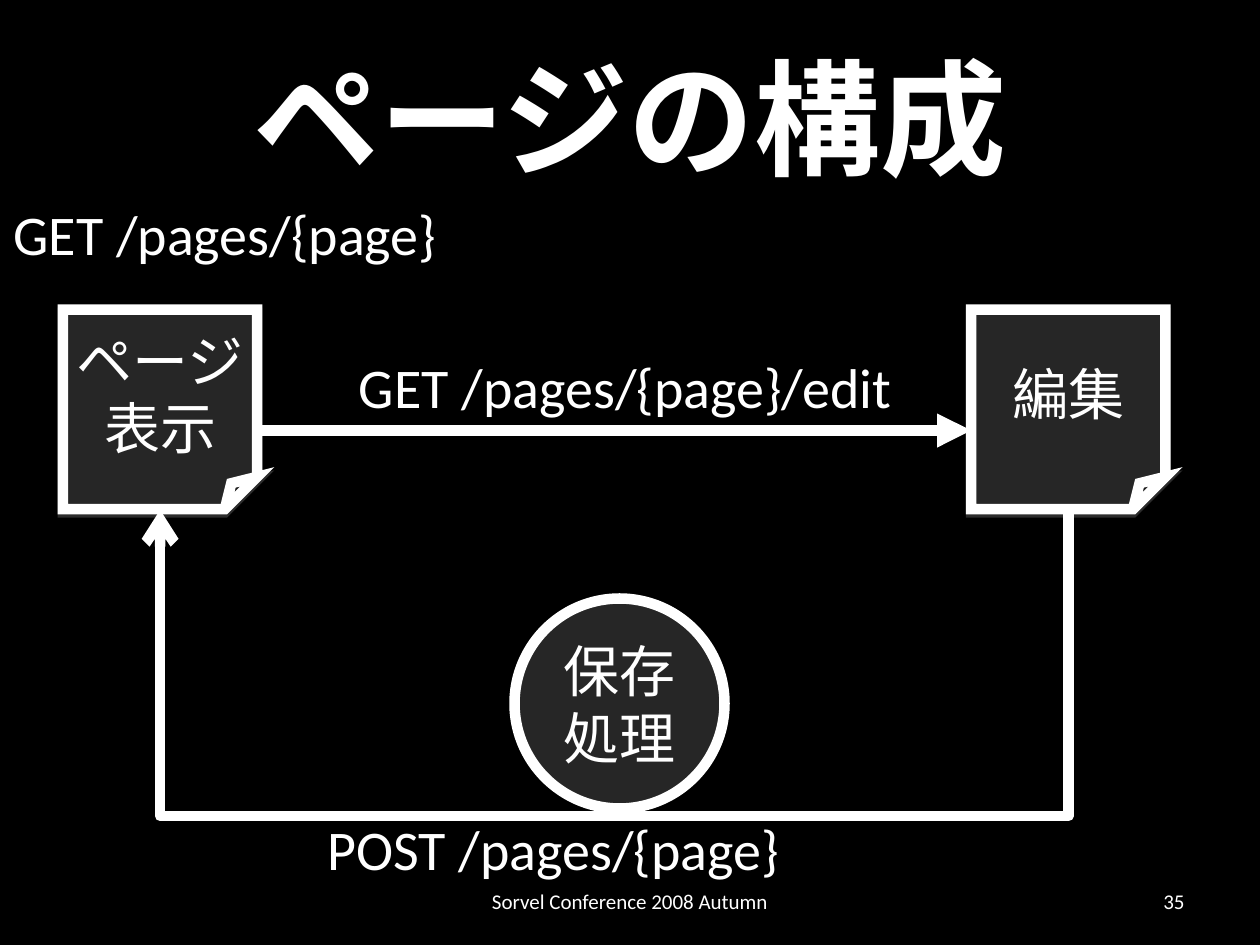
import pptx
import pptx.util
import pptx.dml.color
import pptx.enum.shapes
import pptx.enum.text
import pptx.oxml
import pptx.oxml.ns
from dataclasses import dataclass

Shape = pptx.enum.shapes.MSO_SHAPE
Connector = pptx.enum.shapes.MSO_CONNECTOR
Align = pptx.enum.text.PP_ALIGN
Anchor = pptx.enum.text.MSO_ANCHOR
qn = pptx.oxml.ns.qn

NAMESPACE = 'xmlns:a="http://schemas.openxmlformats.org/drawingml/2006/main"'
SHADOW = (f'<a:effectLst {NAMESPACE}><a:outerShdw blurRad="0" dist="22860" dir="5400000">'
          '<a:srgbClr val="808080"><a:alpha val="35000"/></a:srgbClr>'
          '</a:outerShdw></a:effectLst>')


@dataclass(frozen=True)
class Theme:
    background: str = "000000"
    panel: str = "262626"
    ink: str = "FFFFFF"
    latin: str = "Calibri"
    japanese: str = "Noto Sans CJK JP"
    title: int = 72
    body: int = 32
    footer: int = 12
    stroke: float = 6


def colour(value):
    return pptx.dml.color.RGBColor.from_string(value)


def add_xml(parent, markup):
    parent.append(pptx.oxml.parse_xml(markup))


class Sketch:
    """Draws on a grid of 120 columns by 90 rows, twelve cells to the inch."""

    def __init__(self, deck, theme):
        self.theme = theme
        self.page = deck.slides.add_slide(deck.slide_layouts[6])
        self.column = deck.slide_width / 120
        self.row = deck.slide_height / 90
        fill = self.page.background.fill
        fill.solid()
        fill.fore_color.rgb = colour(theme.background)

    def place(self, left, top, width, height):
        return (round(left * self.column), round(top * self.row),
                round(width * self.column), round(height * self.row))

    def set_text(self, box, lines, size, align, anchor, font=None, bold=False, wrap=True):
        frame = box.text_frame
        inset = {"margin_left": 0.1, "margin_right": 0.1,
                 "margin_top": 0.05, "margin_bottom": 0.05}
        for name, value in inset.items():
            setattr(frame, name, pptx.util.Inches(value))
        frame.word_wrap = wrap
        frame.vertical_anchor = anchor
        style = {"size": pptx.util.Pt(size), "bold": bold, "name": font or self.theme.latin}
        for index, line in enumerate(lines.split("\n")):
            para = frame.add_paragraph() if index else frame.paragraphs[0]
            para.alignment = align
            span = para.add_run()
            span.text = line
            for name, value in style.items():
                setattr(span.font, name, value)
            span.font.color.rgb = colour(self.theme.ink)
        for properties in list(box.element.iter(qn("a:rPr"))):
            add_xml(properties, f'<a:ea {NAMESPACE} typeface="{self.theme.japanese}"/>')

    def text(self, lines, area, size, align=Align.LEFT, anchor=Anchor.TOP, **style):
        box = self.page.shapes.add_textbox(*self.place(*area))
        self.set_text(box, lines, size, align, anchor, **style)

    def node(self, kind, lines, area, font=None, shadow=False):
        box = self.page.shapes.add_shape(kind, *self.place(*area))
        box.shadow.inherit = False
        box.fill.solid()
        box.fill.fore_color.rgb = colour(self.theme.panel)
        self.stroke(box, self.theme.stroke)
        properties = box.element.spPr
        add_xml(properties.find(qn("a:ln")), f'<a:miter {NAMESPACE} lim="800000"/>')
        if shadow:
            properties.remove(properties.find(qn("a:effectLst")))
            add_xml(properties, SHADOW)
        self.set_text(box, lines, self.theme.body, Align.CENTER, Anchor.MIDDLE, font=font)
        return box

    def stroke(self, item, width):
        item.line.color.rgb = colour(self.theme.ink)
        item.line.width = pptx.util.Pt(width)

    def finish_arrow(self, arrow, width, head):
        self.stroke(arrow, width)
        properties = arrow.element.spPr
        add_xml(properties.find(qn("a:ln")), f'<a:tailEnd {NAMESPACE} type="{head}"/>')
        add_xml(properties, f"<a:effectLst {NAMESPACE}/>")

    def arrow(self, start, end, width):
        points = self.place(*start, *end)
        arrow = self.page.shapes.add_connector(Connector.STRAIGHT, *points)
        self.finish_arrow(arrow, width, "triangle")

    def return_arrow(self, source, target, drop):
        """Runs from the bottom of source, down by drop rows, to the bottom of target."""
        arrow = self.page.shapes.add_connector(Connector.ELBOW, 0, 0, 0, 0)
        arrow.begin_connect(source, 2)
        arrow.end_connect(target, 2)
        start, end = (box.left + box.width // 2 for box in (source, target))
        level = source.top + source.height
        span, thin = start - end, pptx.util.Inches(0.01)
        # The frame is turned a quarter, so its height is the span across the slide
        frame = {"left": (start + end - thin) // 2, "top": level - span // 2,
                 "width": thin, "height": span}
        for name, value in frame.items():
            setattr(arrow, name, value)
        transform = arrow.element.spPr.find(qn("a:xfrm"))
        for flip in ("flipH", "flipV"):
            transform.attrib.pop(flip, None)
        transform.set("rot", "5400000")
        bend = round(drop * self.row / thin * 100000)
        guides = arrow.element.spPr.find(qn("a:prstGeom")).get_or_add_avLst()
        add_xml(guides, f'<a:gd {NAMESPACE} name="adj1" fmla="val {bend}"/>')
        self.finish_arrow(arrow, self.theme.stroke, "arrow")


def main():
    deck = pptx.Presentation()
    deck.slide_width = pptx.util.Inches(10)
    deck.slide_height = pptx.util.Inches(7.5)
    theme = Theme()
    sketch = Sketch(deck, theme)

    # Title and footer
    sketch.text("ページの構成", (6, 3.6, 108, 15), theme.title, Align.CENTER,
                Anchor.MIDDLE, font=theme.japanese, bold=True)
    sketch.text("Sorvel Conference 2008 Autumn", (41, 83.4, 38, 4.8), theme.footer,
                Align.CENTER, Anchor.MIDDLE)
    sketch.text("35", (86, 83.4, 28, 4.8), theme.footer, Align.RIGHT, Anchor.MIDDLE)

    # Pages
    view, edit = (
        sketch.node(Shape.FOLDED_CORNER, lines, (left, 29.5, 18.5, 19),
                    font=theme.japanese, shadow=True)
        for lines, left in (("ページ\n表示", 6), ("編集", 92.5)))

    # Flow between the pages
    sketch.arrow((24.5, 41), (92.5, 41), 6.5)
    sketch.return_arrow(edit, view, 29.75)
    sketch.node(Shape.OVAL, "保存処理", (49, 57, 20, 20))

    # Requests
    for lines, area, wrap in (
            ("GET /pages/{page}", (0.1, 18.4, 42.8, 7.7), False),
            ("POST /pages/{page}", (30, 77, 81, 7.7), True),
            ("GET /pages/{page}/edit", (33, 33, 70, 7.7), True)):
        sketch.text(lines, area, theme.body, wrap=wrap)

    deck.save("out.pptx")


if __name__ == "__main__":
    main()
